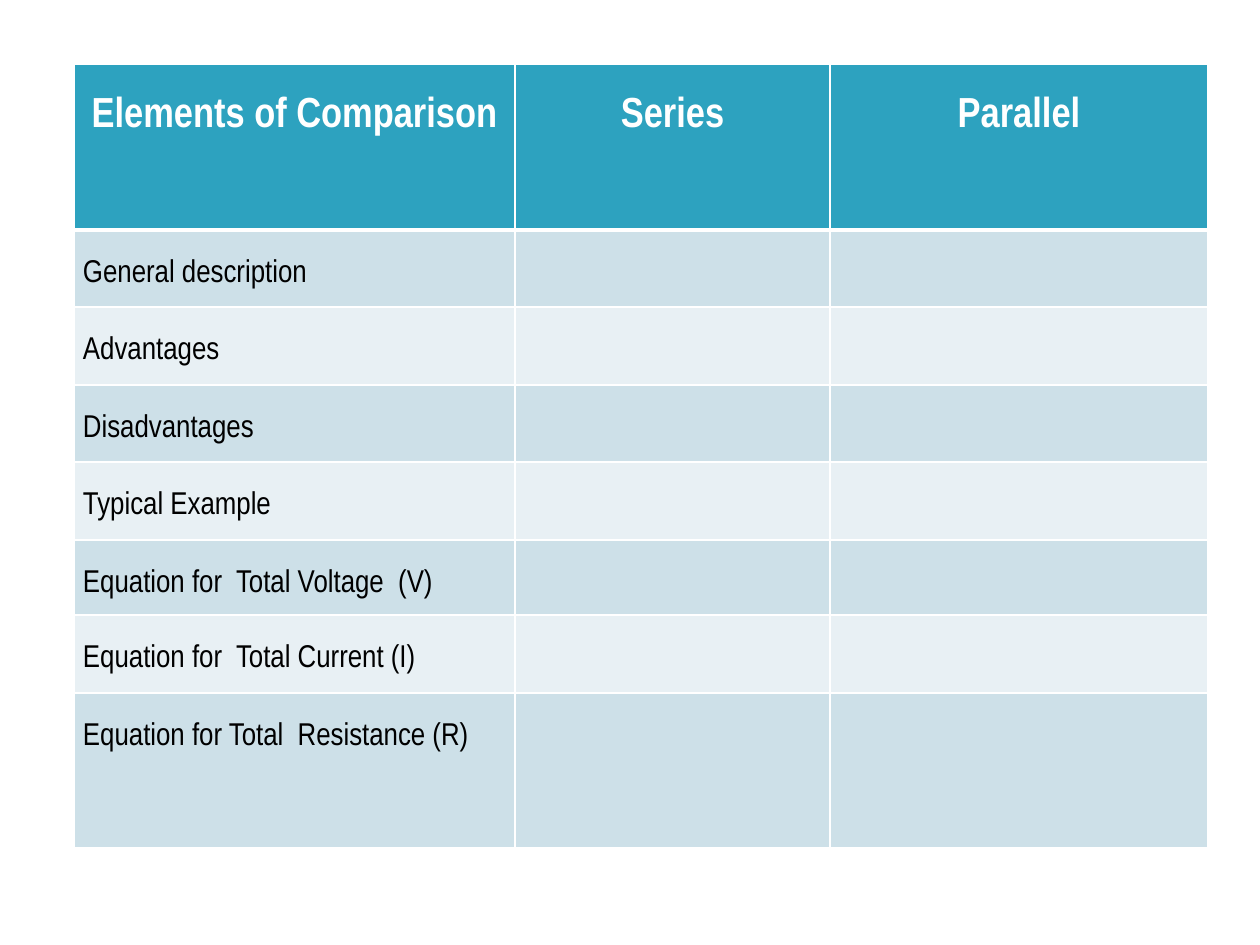
from pptx import Presentation
from pptx import util as u
from pptx.dml.color import RGBColor
from pptx.enum import text
from pptx.oxml import parse_xml
from pptx.oxml.ns import nsdecls

HEADINGS = ["Elements of Comparison", "Series", "Parallel"]
ELEMENTS = [
    "General description",
    "Advantages",
    "Disadvantages",
    "Typical Example",
    "Equation for  Total Voltage  (V)",
    "Equation for  Total Current (I)",
    "Equation for Total  Resistance (R)",
]
COLUMN_WIDTHS = [441, 315, 378]
ROW_HEIGHTS = [166, 77, 78, 77, 78, 75, 78, 155]
LEFT, TOP = 74, 64
SIDE_MARGIN, HEADING_MARGIN = 9, 33
HEADING_FILL, BAND_FILLS = "2DA2BF", ["CDE0E8", "E8F0F4"]
WHITE, BLACK = "FFFFFF", "000000"
FONT = "Arial Narrow"


def px(pixels):
    return u.Emu(round(pixels * 914400 / 126))


def color(value):
    return RGBColor.from_string(value)


def add_borders(cell, row):
    widths = {"L": 1, "R": 1, "T": 3 if row == 1 else 1, "B": 3 if row == 0 else 1}
    properties = cell._tc.get_or_add_tcPr()
    for side, width in widths.items():
        properties.append(parse_xml(
            f'<a:ln{side} {nsdecls("a")} w="{u.Pt(width)}"><a:solidFill>'
            f'<a:srgbClr val="{WHITE}"/></a:solidFill></a:ln{side}>'))


def style_cell(cell, row):
    heading = row == 0
    add_borders(cell, row)
    cell.fill.solid()
    cell.fill.fore_color.rgb = color(HEADING_FILL if heading else BAND_FILLS[(row - 1) % 2])
    cell.margin_left = cell.margin_right = px(SIDE_MARGIN)
    cell.margin_top = px(HEADING_MARGIN if heading else 0)
    cell.margin_bottom = 0


def write_cell(cell, words, row):
    heading = row == 0
    cell.text = words
    para = cell.text_frame.paragraphs[0]
    para.font.name = FONT
    para.font.size = u.Pt(24 if heading else 18)
    para.font.bold = heading
    para.font.color.rgb = color(WHITE if heading else BLACK)
    if heading:
        para.alignment = text.PP_ALIGN.CENTER
    else:
        para.line_spacing = 2.0
        para.space_after = u.Pt(10 if row < len(ELEMENTS) else 0)


deck = Presentation()
deck.slide_width, deck.slide_height = u.Inches(10), u.Inches(7.5)
page = deck.slides.add_slide(deck.slide_layouts[6])

rows = [HEADINGS] + [[element, "", ""] for element in ELEMENTS]
table = page.shapes.add_table(
    len(rows), len(HEADINGS), px(LEFT), px(TOP),
    px(sum(COLUMN_WIDTHS)), px(sum(ROW_HEIGHTS))).table
for column, width in zip(table.columns, COLUMN_WIDTHS):
    column.width = px(width)
for table_row, height in zip(table.rows, ROW_HEIGHTS):
    table_row.height = px(height)

for row, entries in enumerate(rows):
    for column, words in enumerate(entries):
        cell = table.cell(row, column)
        style_cell(cell, row)
        if words:
            write_cell(cell, words, row)

deck.save("out.pptx")
